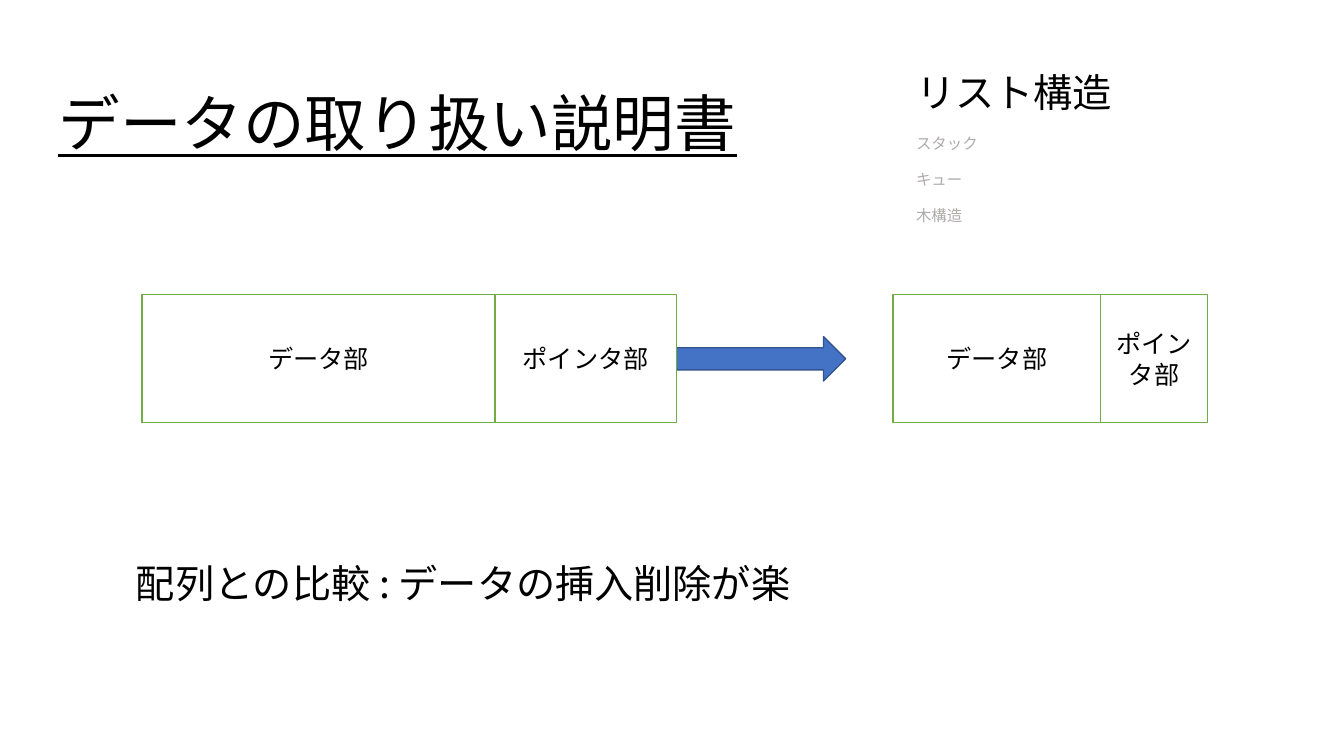
from dataclasses import dataclass

from lxml import etree
from pptx import Presentation
from pptx.dml.color import RGBColor
from pptx.enum.shapes import MSO_SHAPE
from pptx.enum.text import MSO_ANCHOR, MSO_AUTO_SIZE, PP_ALIGN
from pptx.oxml.ns import qn
from pptx.util import Pt

RECTANGLE, RIGHT_ARROW = MSO_SHAPE.RECTANGLE, MSO_SHAPE.RIGHT_ARROW
TOP, MIDDLE = MSO_ANCHOR.TOP, MSO_ANCHOR.MIDDLE
LEFT, CENTER = PP_ALIGN.LEFT, PP_ALIGN.CENTER
NO_AUTOFIT = MSO_AUTO_SIZE.NONE
TITLE_ONLY_LAYOUT = 5


@dataclass(frozen=True)
class Theme:
    font: str = "Noto Sans CJK JP"
    text: RGBColor = RGBColor(0x00, 0x00, 0x00)
    muted: RGBColor = RGBColor(0xAF, 0xAB, 0xAB)
    cell_fill: RGBColor = RGBColor(0xFF, 0xFF, 0xFF)
    cell_line: RGBColor = RGBColor(0x70, 0xAD, 0x47)
    arrow_fill: RGBColor = RGBColor(0x44, 0x72, 0xC4)
    arrow_line: RGBColor = RGBColor(0x32, 0x54, 0x91)
    title_size: int = 44
    heading_size: int = 28
    cell_size: int = 18
    topic_size: int = 11


THEME = Theme()
LINE_HEIGHTS = {THEME.title_size: 53, THEME.heading_size: 36,
                THEME.cell_size: 22, THEME.topic_size: 14}

CELL_TOP, CELL_HEIGHT = 210.24, 91.44
# Each node: left edge, width of the data part, width of the pointer part
NODES = [(101.52, 252, 129.6), (637.92, 148.32, 76.32)]
TOPICS = ["スタック", "キュー", "木構造"]


def format_paragraph(paragraph, size, color=THEME.text, align=LEFT):
    paragraph.alignment = align
    paragraph.line_spacing = Pt(LINE_HEIGHTS[size])
    for run in paragraph.runs:
        run.font.name = THEME.font
        run.font.size = Pt(size)
        run.font.color.rgb = color
        east_asian = etree.SubElement(run.font._element, qn("a:ea"))
        east_asian.set("typeface", THEME.font)


def add_title(slide, text):
    title = slide.shapes.title
    title.left, title.top = Pt(34.56), Pt(60.48)
    title.width, title.height = Pt(828), Pt(104.4)
    frame = title.text_frame
    frame.text = text
    frame.auto_size = NO_AUTOFIT
    frame.vertical_anchor = TOP
    frame.margin_top = 0
    paragraph = frame.paragraphs[0]
    format_paragraph(paragraph, THEME.title_size)
    paragraph.runs[0].font.underline = True


def add_heading_box(slide, left, top, width, height, text):
    """Add a text box that starts with a heading; return its text frame."""
    box = slide.shapes.add_textbox(Pt(left), Pt(top), Pt(width), Pt(height))
    frame = box.text_frame
    frame.word_wrap = True
    frame.text = text
    format_paragraph(frame.paragraphs[0], THEME.heading_size)
    return frame


def add_topics(frame, topics):
    for topic in topics:
        paragraph = frame.add_paragraph()
        paragraph.text = topic
        paragraph.space_before = Pt(12)
        format_paragraph(paragraph, THEME.topic_size, THEME.muted)


def add_outlined_shape(shapes, kind, left, top, width, height, fill, line):
    shape = shapes.add_shape(kind, Pt(left), Pt(top), Pt(width), Pt(height))
    shape.shadow.inherit = False
    shape.fill.solid()
    shape.fill.fore_color.rgb = fill
    shape.line.color.rgb = line
    shape.line.width = Pt(1)
    return shape


def add_cell(shapes, left, width, text):
    cell = add_outlined_shape(shapes, RECTANGLE, left, CELL_TOP, width,
                              CELL_HEIGHT, THEME.cell_fill, THEME.cell_line)
    frame = cell.text_frame
    frame.word_wrap = True
    frame.vertical_anchor = MIDDLE
    frame.text = text
    format_paragraph(frame.paragraphs[0], THEME.cell_size, align=CENTER)


def add_linked_list(slide):
    shapes = slide.shapes.add_group_shape().shapes
    add_outlined_shape(shapes, RIGHT_ARROW, 430.56, 240.48, 173.52, 31.68,
                       THEME.arrow_fill, THEME.arrow_line)
    for left, data_width, pointer_width in NODES:
        add_cell(shapes, left, data_width, "データ部")
        add_cell(shapes, left + data_width, pointer_width, "ポインタ部")


def main():
    presentation = Presentation()
    presentation.slide_width, presentation.slide_height = Pt(960), Pt(540)
    layout = presentation.slide_layouts[TITLE_ONLY_LAYOUT]
    slide = presentation.slides.add_slide(layout)
    add_title(slide, "データの取り扱い説明書")
    structures = add_heading_box(slide, 647.28, 43.2, 228.24, 120.96, "リスト構造")
    add_topics(structures, TOPICS)
    add_linked_list(slide)
    add_heading_box(slide, 90, 393.84, 614.88, 41.04,
                    "配列との比較 : データの挿入削除が楽")
    presentation.save("out.pptx")


if __name__ == "__main__":
    main()
